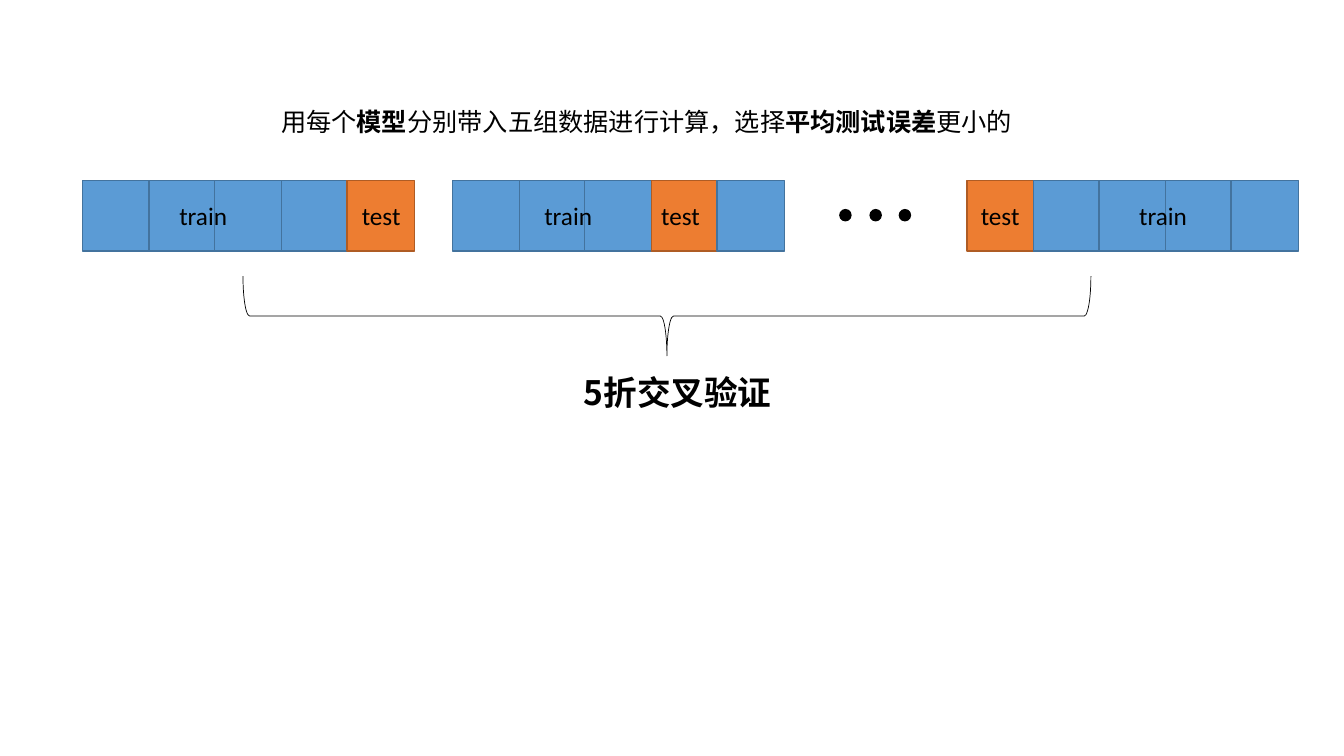
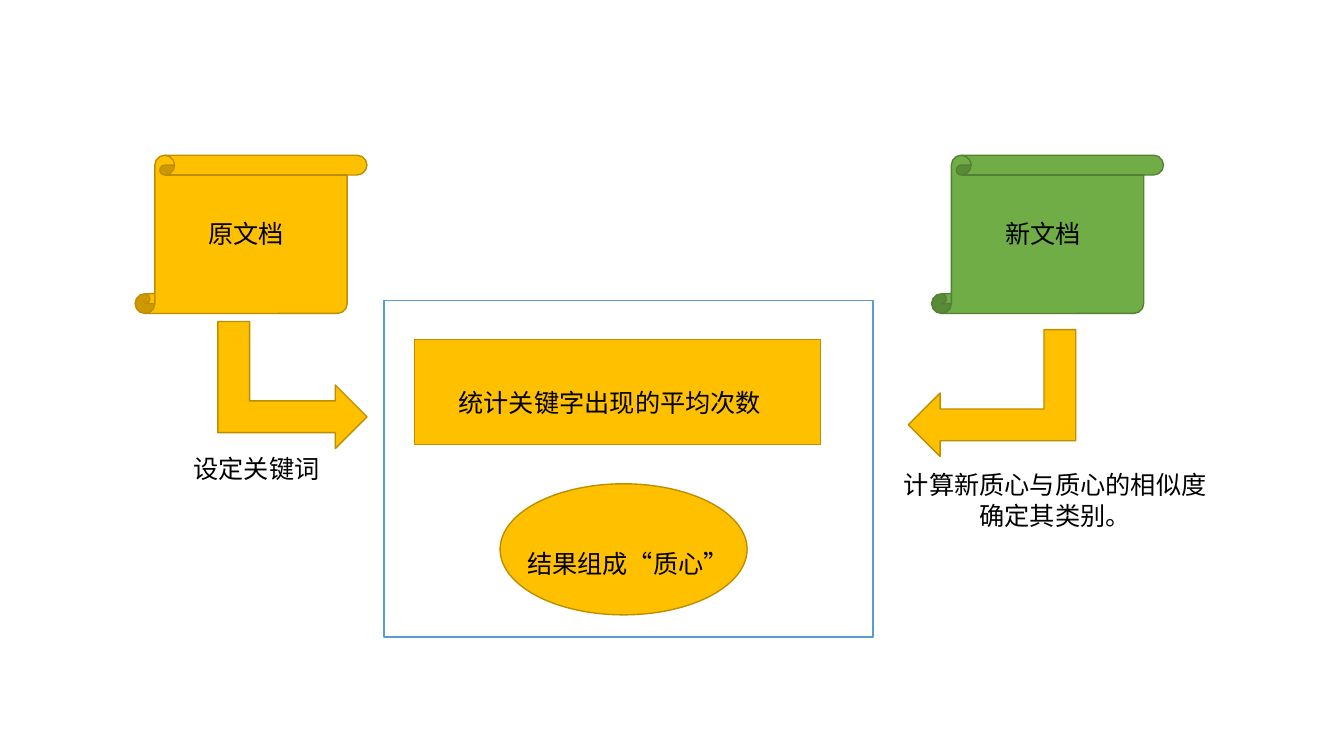
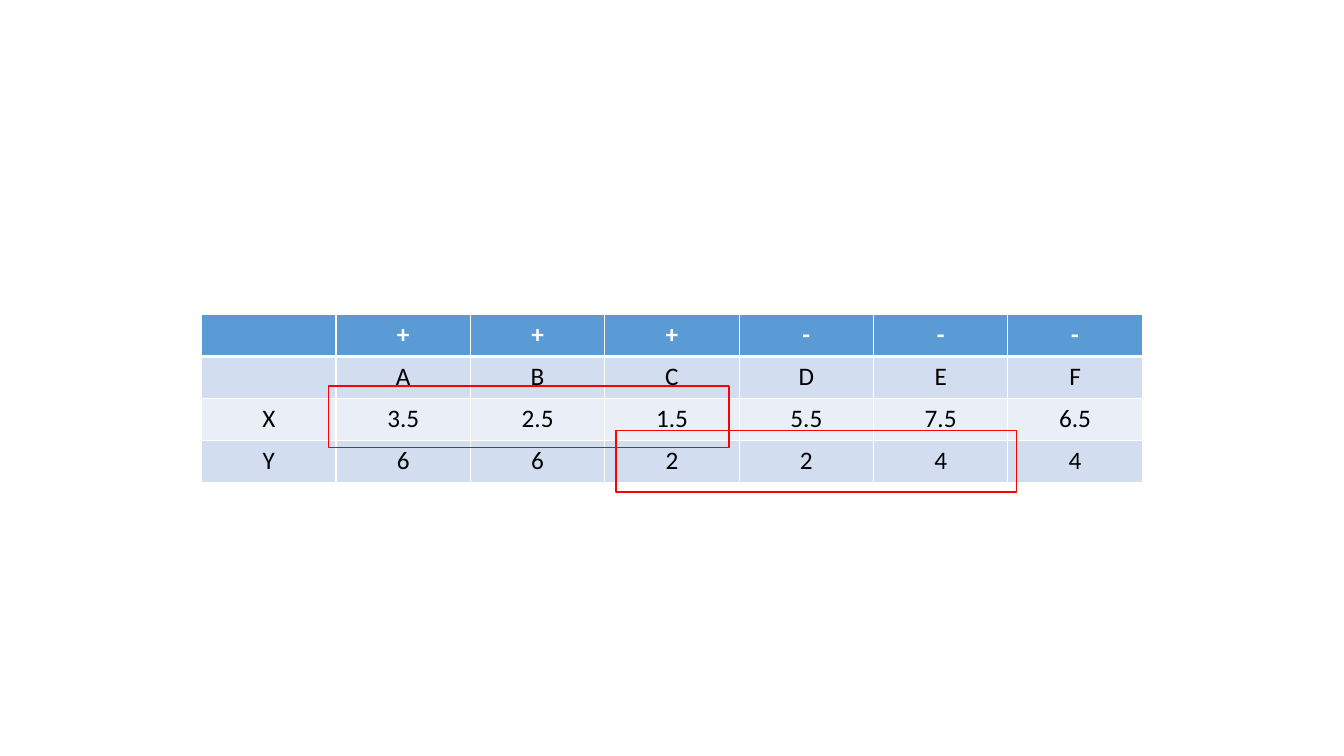
from lxml import etree
from pptx import Presentation
from pptx.dml.color import RGBColor
from pptx.enum.shapes import MSO_SHAPE
from pptx.enum.text import PP_ALIGN
from pptx.oxml.ns import qn
from pptx.util import Pt

PX = 9144  # EMU per px, 100 px to the inch

RECTANGLE = MSO_SHAPE.RECTANGLE
OVAL = MSO_SHAPE.OVAL
BRACE = MSO_SHAPE.LEFT_BRACE
SCROLL = MSO_SHAPE.VERTICAL_SCROLL
BENT_ARROW = MSO_SHAPE.BENT_UP_ARROW
LEFT, CENTER = PP_ALIGN.LEFT, PP_ALIGN.CENTER

LATIN_FONT, CHINESE_FONT = "Calibri", "Noto Sans CJK SC"
BLACK, WHITE, RED = "000000", "FFFFFF", "FF0000"
BLUE, ORANGE, YELLOW, GREEN = "5B9BD5", "ED7D31", "FFC000", "70AD47"
BAND_DARK, BAND_LIGHT = "D2DEEF", "EAEFF7"
OUTLINES = {BLUE: "43739E", ORANGE: "AF5C24", YELLOW: "BD8E00",
            GREEN: "538035", BLACK: BLACK}


def px(*lengths):
    return [length * PX for length in lengths]


def color(hex_code):
    return RGBColor.from_string(hex_code)


def format_run(run, size=18, hex_code=BLACK, bold=False, font_name=LATIN_FONT):
    font = run.font
    font.size, font.bold, font.name = Pt(size), bold, font_name
    font.color.rgb = color(hex_code)
    east_asian = etree.SubElement(run.font._element, qn("a:ea"))
    east_asian.set("typeface", CHINESE_FONT)


def add_shape(slide, kind, box, fill=None, line=None, line_width=1,
              rotation=0, flipped=False):
    """Preset shape; a filled one takes the outline that goes with its fill."""
    shape = slide.shapes.add_shape(kind, *px(*box))
    shape.shadow.inherit = False
    if fill:
        shape.fill.solid()
        shape.fill.fore_color.rgb = color(fill)
    else:
        shape.fill.background()
    shape.line.color.rgb = color(line or OUTLINES[fill])
    shape.line.width = Pt(line_width)
    shape.rotation = rotation
    if flipped:
        shape.element.spPr.find(qn("a:xfrm")).set("flipV", "1")
    return shape


def add_text(slide, box, lines, align=LEFT, **style):
    """Text box; a line is a list of pieces, every second piece is bold."""
    text_frame = slide.shapes.add_textbox(*px(*box)).text_frame
    text_frame.word_wrap = True
    for number, pieces in enumerate(lines):
        paragraph = text_frame.add_paragraph() if number else text_frame.paragraphs[0]
        paragraph.alignment = align
        for index, piece in enumerate(pieces):
            run = paragraph.add_run()
            run.text = piece
            format_run(run, **{"bold": index % 2 == 1, **style})


def set_borders(cell, widths):
    properties = cell._tc.get_or_add_tcPr()
    for side, width in widths.items():
        border = etree.SubElement(properties, qn("a:ln" + side), w=str(Pt(width)))
        fill = etree.SubElement(border, qn("a:solidFill"))
        etree.SubElement(fill, qn("a:srgbClr"), val=WHITE)


def add_data_table(slide, box, rows):
    table = slide.shapes.add_table(len(rows), len(rows[0]), *px(*box)).table
    table.horz_banding = False
    for row_index, row in enumerate(rows):
        header = row_index == 0
        band = BAND_DARK if row_index % 2 else BAND_LIGHT
        for column_index, value in enumerate(row):
            cell = table.cell(row_index, column_index)
            set_borders(cell, {"L": 1, "R": 1, "T": 3 if row_index == 1 else 1,
                               "B": 3 if header else 1})
            cell.fill.solid()
            cell.fill.fore_color.rgb = color(BLUE if header else band)
            paragraph = cell.text_frame.paragraphs[0]
            paragraph.text = value
            paragraph.alignment = CENTER
            for run in paragraph.runs:
                format_run(run, hex_code=WHITE if header else BLACK, bold=header)


def add_fold(slide, left, test_index, train_left, test_left):
    """One split of the data: five tiles, one of them held out for the test."""
    for index in range(5):
        add_shape(slide, RECTANGLE, (left + round(index * 65.6), 179, 67, 70),
                  ORANGE if index == test_index else BLUE)
    for label, label_left in (("train", train_left), ("test", test_left)):
        add_text(slide, (label_left, 194, 73, 40), [[label]])


def add_document(slide, left, label, fill):
    add_shape(slide, SCROLL, (left, 154, 230, 157), fill)
    add_text(slide, (left + 63, 212, 104, 40), [[label]])


def build_cross_validation(slide):
    add_text(slide, (269, 101, 785, 40),
             [["用每个", "模型", "分别带入五组数据进行计算，选择", "平均测试误差", "更小的"]],
             font_name=CHINESE_FONT)
    # Folds and the dots between them
    for fold in ((82, 4, 168, 349), (449, 3, 530, 646), (959, 0, 1120, 963)):
        add_fold(slide, *fold)
    for index in range(3):
        add_shape(slide, OVAL, (833 + round(index * 29.5), 208, 11, 11), BLACK)
    # Brace and its caption
    add_shape(slide, BRACE, (622, -107, 79, 841), line=BLACK, line_width=0.5,
              rotation=270)
    add_text(slide, (569, 364, 264, 50), [["5折交叉验证"]], size=24, bold=True,
             font_name=CHINESE_FONT)


def build_centroid_flow(slide):
    # Documents on both sides
    add_document(slide, 134, "原文档", YELLOW)
    add_document(slide, 924, "新文档", GREEN)
    # Centroid steps
    add_shape(slide, RECTANGLE, (411, 337, 403, 104), YELLOW)
    add_text(slide, (445, 379, 334, 40), [["统计关键字出现的平均次数"]])
    add_shape(slide, OVAL, (496, 480, 245, 130), YELLOW)
    add_text(slide, (513, 539, 277, 40), [["结果组成“质心”"]])
    add_shape(slide, RECTANGLE, (381, 298, 485, 334), line=BLUE)
    # Arrows and their captions
    add_shape(slide, BENT_ARROW, (227, 308, 126, 148), YELLOW, rotation=90)
    add_shape(slide, BENT_ARROW, (921, 307, 126, 166), YELLOW, rotation=90,
              flipped=True)
    add_text(slide, (182, 445, 245, 40), [["设定关键词"]])
    add_text(slide, (884, 461, 325, 71),
             [["计算新质心与质心的相似度"], ["确定其类别。"]], CENTER)


def build_data_table(slide):
    add_data_table(slide, (200, 312, 933, 167), [
        ["", "+", "+", "+", "-", "-", "-"],
        ["", "A", "B", "C", "D", "E", "F"],
        ["X", "3.5", "2.5", "1.5", "5.5", "7.5", "6.5"],
        ["Y", "6", "6", "2", "2", "4", "4"],
    ])
    # Red frames over the table
    for left, top in ((326, 383), (611, 427)):
        add_shape(slide, RECTANGLE, (left, top, 397, 61), line=RED)


def main():
    presentation = Presentation()
    presentation.slide_width, presentation.slide_height = px(1333, 750)
    blank_layout = presentation.slide_layouts[6]
    for build in (build_cross_validation, build_centroid_flow, build_data_table):
        build(presentation.slides.add_slide(blank_layout))
    presentation.save("out.pptx")


if __name__ == "__main__":
    main()
